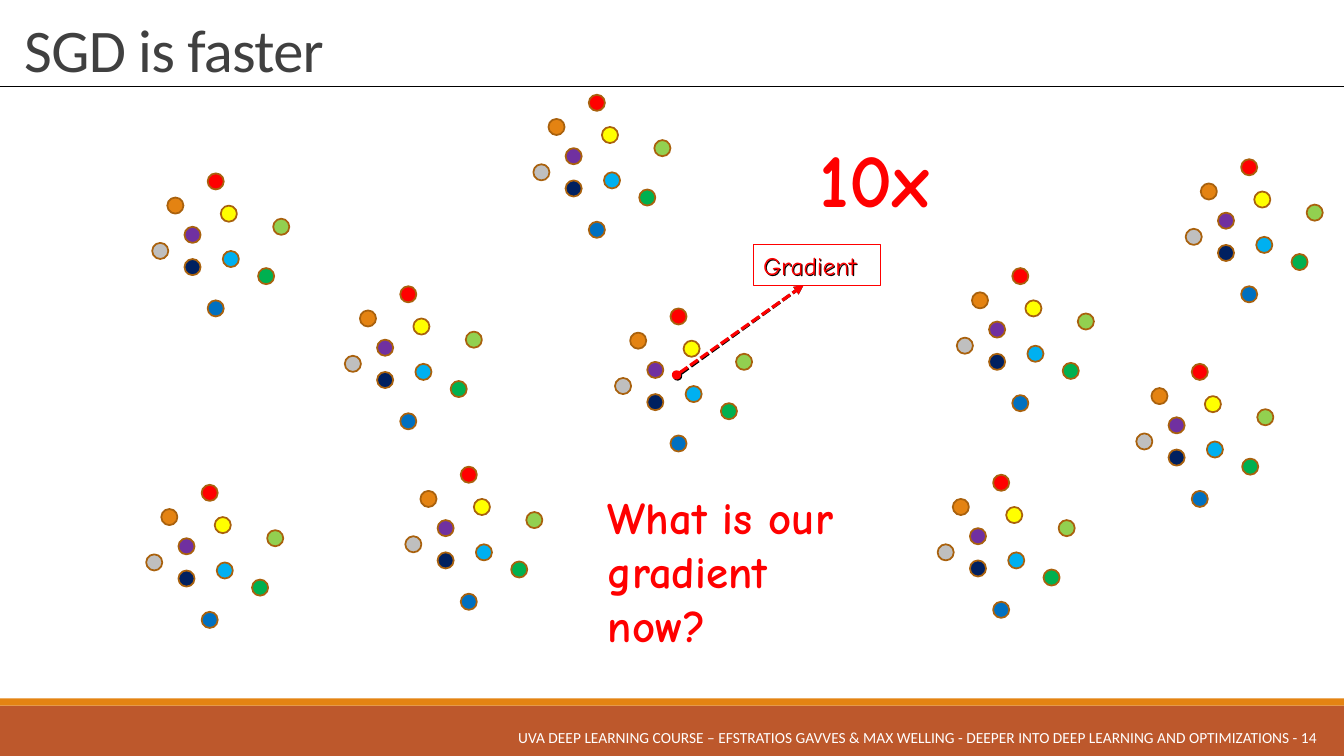
from lxml import etree
from pptx import Presentation
from pptx.dml.color import RGBColor
from pptx.enum.dml import MSO_LINE
from pptx.enum.shapes import MSO_CONNECTOR, MSO_SHAPE
from pptx.enum.text import MSO_ANCHOR, MSO_AUTO_SIZE, PP_ALIGN
from pptx.oxml.ns import qn
from pptx.util import Inches, Pt

RECT, OVAL = MSO_SHAPE.RECTANGLE, MSO_SHAPE.OVAL
STRAIGHT, DASH = MSO_CONNECTOR.STRAIGHT, MSO_LINE.SQUARE_DOT
TOP, MIDDLE, BOTTOM = MSO_ANCHOR.TOP, MSO_ANCHOR.MIDDLE, MSO_ANCHOR.BOTTOM
LEFT, RIGHT = PP_ALIGN.LEFT, PP_ALIGN.RIGHT
FIXED, GROW = MSO_AUTO_SIZE.NONE, MSO_AUTO_SIZE.SHAPE_TO_FIT_TEXT

BLACK = RGBColor(0x00, 0x00, 0x00)
WHITE = RGBColor(0xFF, 0xFF, 0xFF)
DARK = RGBColor(0x40, 0x40, 0x40)
RUST = RGBColor(0xBD, 0x58, 0x2C)
BROWN = RGBColor(0xA9, 0x61, 0x0D)
ORANGE = RGBColor(0xE4, 0x83, 0x12)
RED = RGBColor(0xFF, 0x00, 0x00)
GREY = RGBColor(0xBF, 0xBF, 0xBF)
PURPLE = RGBColor(0x70, 0x30, 0xA0)
YELLOW = RGBColor(0xFF, 0xFF, 0x00)
NAVY = RGBColor(0x00, 0x20, 0x60)
CYAN = RGBColor(0x00, 0xB0, 0xF0)
LIME = RGBColor(0x92, 0xD0, 0x50)
GREEN = RGBColor(0x00, 0xB0, 0x50)
BLUE = RGBColor(0x00, 0x70, 0xC0)

BODY, HAND = "Calibri", "Comic Neue"
WIDTH = 13.33
DOT = 0.16

# Each dot's place inside a cluster
DOTS = [
    (0.15, 0.24, ORANGE), (0.55, 0, RED), (0, 0.69, GREY),
    (0.32, 0.53, PURPLE), (0.68, 0.32, YELLOW), (0.32, 0.85, NAVY),
    (0.7, 0.77, CYAN), (1.2, 0.45, LIME), (1.05, 0.94, GREEN),
    (0.55, 1.26, BLUE),
]
# Top left corner of each cluster
SPOTS = [
    (6.1, 3.06), (1.51, 1.72), (3.42, 2.84), (5.29, 0.94), (9.49, 2.66),
    (11.76, 1.58), (11.27, 3.61), (9.3, 4.71), (4.02, 4.63), (1.45, 4.81),
]


class Deck:
    """Holds the presentation, the current slide and the text style."""

    def __init__(self):
        self.prs = Presentation()
        self.prs.slide_width = Inches(WIDTH)
        self.prs.slide_height = Inches(7.5)
        self.slide = self.prs.slides.add_slide(self.prs.slide_layouts[5])
        self.shapes = self.slide.shapes

    def label(self, shape, text, size, color, font=HAND, bold=False,
              align=LEFT, anchor=TOP, fit=GROW):
        """Put styled text into a shape and return its paragraph."""
        frame = shape.text_frame
        frame.text = text
        frame.word_wrap = True
        frame.auto_size = fit
        frame.vertical_anchor = anchor
        para = frame.paragraphs[0]
        para.alignment = align
        para.font.name = font
        para.font.size = Pt(size)
        para.font.bold = bold
        para.font.color.rgb = color
        return para

    def title(self, text, *box):
        shape = self.shapes.title
        shape.left, shape.top, shape.width, shape.height = map(Inches, box)
        para = self.label(shape, text, 43.2, DARK, BODY, anchor=BOTTOM,
                          fit=FIXED)
        para.line_spacing = 0.85
        para.runs[0].font._element.set("spc", "-50")

    def text(self, box, text, size, color, **style):
        shape = self.shapes.add_textbox(*map(Inches, box))
        self.label(shape, text, size, color, **style)

    def shape(self, kind, box, fill=None, line=None, weight=1, home=None):
        """Draw a preset shape on the slide, or in the group given as home."""
        shapes = home.shapes if home else self.shapes
        shape = shapes.add_shape(kind, *map(Inches, box))
        shape.shadow.inherit = False
        for part, color in ((shape.fill, fill), (shape.line.fill, line)):
            if color is None:
                part.background()
            else:
                part.solid()
                part.fore_color.rgb = color
        if line is not None:
            shape.line.width = Pt(weight)
        return shape

    def line(self, start, end, color, weight):
        link = self.shapes.add_connector(
            STRAIGHT, *map(Inches, (*start, *end)))
        link.line.color.rgb = color
        link.line.width = Pt(weight)
        etree.SubElement(link._element.spPr, qn("a:effectLst"))
        return link

    def arrow(self, start, end, color):
        link = self.line(start, end, color, 2.25)
        link.line.dash_style = DASH
        ln = link._element.spPr.find(qn("a:ln"))
        etree.SubElement(ln, qn("a:headEnd"), type="oval")
        etree.SubElement(ln, qn("a:tailEnd"), type="triangle")

    def cluster(self, left, top):
        group = self.shapes.add_group_shape()
        for x, y, color in DOTS:
            self.shape(OVAL, (left + x, top + y, DOT, DOT), color, BROWN,
                       1.25, group)


def main():
    deck = Deck()
    deck.shape(RECT, (0, 7, WIDTH, 0.5), RUST)
    deck.shape(RECT, (0, 6.93, WIDTH, 0.07), ORANGE)
    deck.line((0, 0.86), (WIDTH, 0.86), BLACK, 1)
    deck.text((1.88, 7.12, 11.29, 0.4),
              "UVA DEEP LEARNING COURSE – EFSTRATIOS GAVVES & MAX WELLING - "
              "DEEPER INTO DEEP LEARNING AND OPTIMIZATIONS - 14",
              11, WHITE, font=BODY, align=RIGHT, anchor=MIDDLE, fit=FIXED)
    deck.title("SGD is faster", 0.14, 0.16, 13.1, 0.73)

    for spot in SPOTS:
        deck.cluster(*spot)

    deck.arrow((6.72, 3.73), (7.97, 2.83), BLACK)
    deck.text((7.48, 2.44, 1.26, 0.4), "Gradient", 18, BLACK)
    deck.text((8.03, 1.26, 2.05, 1.01), "10x", 54, RED, bold=True)
    deck.text((5.93, 4.81, 2.85, 1.18), "What is our gradient now?", 32, RED,
              bold=True)
    deck.arrow((6.71, 3.72), (7.97, 2.83), RED)
    frame = deck.shape(RECT, (7.47, 2.43, 1.26, 0.4), line=RED, weight=0.75)
    deck.label(frame, "Gradient", 18, RED)

    deck.prs.save("out.pptx")


if __name__ == "__main__":
    main()
